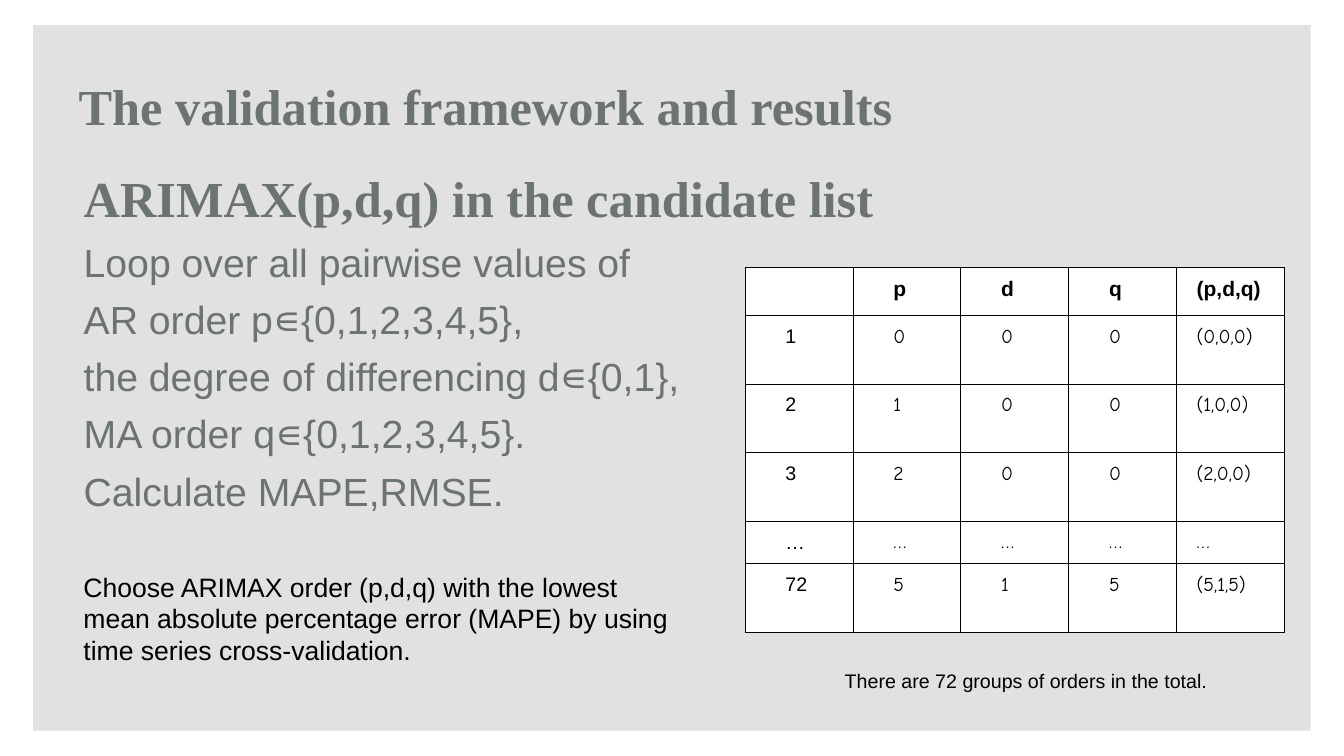
from lxml import etree
from pptx import Presentation
from pptx.dml.color import RGBColor
from pptx.enum import shapes, text
from pptx.oxml import ns
from pptx.util import Inches, Pt


def color(value):
    return RGBColor.from_string(value)


def style(paragraph, size, font, fill, bold=False):
    for run in paragraph.runs:
        run.font.size = Pt(size)
        run.font.name = font
        run.font.bold = bold
        run.font.color.rgb = color(fill)


INK, GRAY = "000000", "6C7373"

prs = Presentation()
prs.slide_width, prs.slide_height = Inches(13.33), Inches(7.5)
slide = prs.slides.add_slide(prs.slide_layouts[1])

# Gray panel behind everything
panel = slide.shapes.add_shape(
    shapes.MSO_SHAPE.RECTANGLE, Inches(0.33), Inches(0.25), Inches(12.67), Inches(7))
panel.shadow.inherit = False
panel.fill.solid()
panel.fill.fore_color.rgb = color("E1E1E1")
panel.line.fill.background()
slide.shapes.title._element.addprevious(panel._element)

# Heading and search procedure
heading, procedure = slide.shapes.title, slide.placeholders[1]
heading.left, heading.top, heading.width, heading.height = map(
    Inches, (0.68, 0.51, 10.55, 1.07))
procedure.left, procedure.top, procedure.width, procedure.height = map(
    Inches, (0.73, 1.58, 11.87, 5.23))
heading.text_frame.text = "The validation framework and results"
procedure.text_frame.text = "\n".join([
    "ARIMAX(p,d,q) in the candidate list",
    "Loop over all pairwise values of",
    "AR order p∊{0,1,2,3,4,5},",
    "the degree of differencing d∊{0,1},",
    "MA order q∊{0,1,2,3,4,5}.",
    "Calculate MAPE,RMSE.",
])
for frame, anchor in ((heading.text_frame, text.MSO_ANCHOR.MIDDLE),
                      (procedure.text_frame, text.MSO_ANCHOR.TOP)):
    frame.auto_size = text.MSO_AUTO_SIZE.NONE
    frame.vertical_anchor = anchor
    frame.paragraphs[0].alignment = text.PP_ALIGN.LEFT
    style(frame.paragraphs[0], 36, "Times New Roman", GRAY, bold=True)

for number, step in enumerate(procedure.text_frame.paragraphs):
    step.line_spacing = 1.05
    step.space_before = Pt(5.6 if number else 0)
    if number:
        style(step, 28, "Arial", GRAY)
    properties = step._p.get_or_add_pPr()
    properties.set("marL", "0")
    properties.set("indent", "0")
    etree.SubElement(properties, ns.qn("a:buNone"))

# Candidate orders
orders = [
    ("", "p", "d", "q", "(p,d,q)"),
    ("1", "0", "0", "0", "(0,0,0)"),
    ("2", "1", "0", "0", "(1,0,0)"),
    ("3", "2", "0", "0", "(2,0,0)"),
    ("…", "…", "…", "…", "…"),
    ("72", "5", "1", "5", "(5,1,5)"),
]
row_heights = [0.48, 0.68, 0.68, 0.68, 0.42, 0.68]
table = slide.shapes.add_table(
    len(orders), 5, Inches(7.39), Inches(2.65), Inches(5.35), Inches(sum(row_heights))).table
for column in table.columns:
    column.width = Inches(1.07)
for r, (values, height) in enumerate(zip(orders, row_heights)):
    table.rows[r].height = Inches(height)
    for c, value in enumerate(values):
        cell = table.cell(r, c)
        cell.margin_left = cell.margin_right = Inches(0.1)
        cell.margin_top = cell.margin_bottom = Inches(0.1)
        entry = cell.text_frame.paragraphs[0]
        entry.text = value
        entry.font.size = Pt(15)
        indent = Inches(0.1 if c == 4 else 0.3)
        entry._p.get_or_add_pPr().set("marL", str(indent))
        if r == 0:
            style(entry, 15, "Arial", INK, bold=True)
        else:
            style(entry, 14, "Comic Neue" if c else "Arial", INK)
        borders = cell._tc.get_or_add_tcPr()
        for side in ("lnL", "lnR", "lnT", "lnB"):
            border = etree.SubElement(borders, ns.qn("a:" + side), w=str(Pt(0.75)))
            ink = etree.SubElement(border, ns.qn("a:solidFill"))
            etree.SubElement(ink, ns.qn("a:srgbClr"), val=INK)
        cell.fill.solid()
        cell.fill.fore_color.rgb = color("FFFFFF")

# Table caption and selection rule
notes = [
    ("There are 72 groups of orders in the total.", 14, (8.28, 6.54, 4.24, 0.44)),
    ("Choose ARIMAX order (p,d,q) with the lowest mean absolute percentage error "
     "(MAPE) by using time series cross-validation.", 19, (0.73, 5.56, 6.17, 1.16)),
]
for wording, size, place in notes:
    frame = slide.shapes.add_textbox(*map(Inches, place)).text_frame
    frame.word_wrap = True
    frame.auto_size = text.MSO_AUTO_SIZE.SHAPE_TO_FIT_TEXT
    frame.margin_left = frame.margin_right = Inches(0.1)
    frame.margin_top = frame.margin_bottom = Inches(0.1)
    frame.text = wording
    style(frame.paragraphs[0], size, "Arial", INK)

prs.save("out.pptx")
